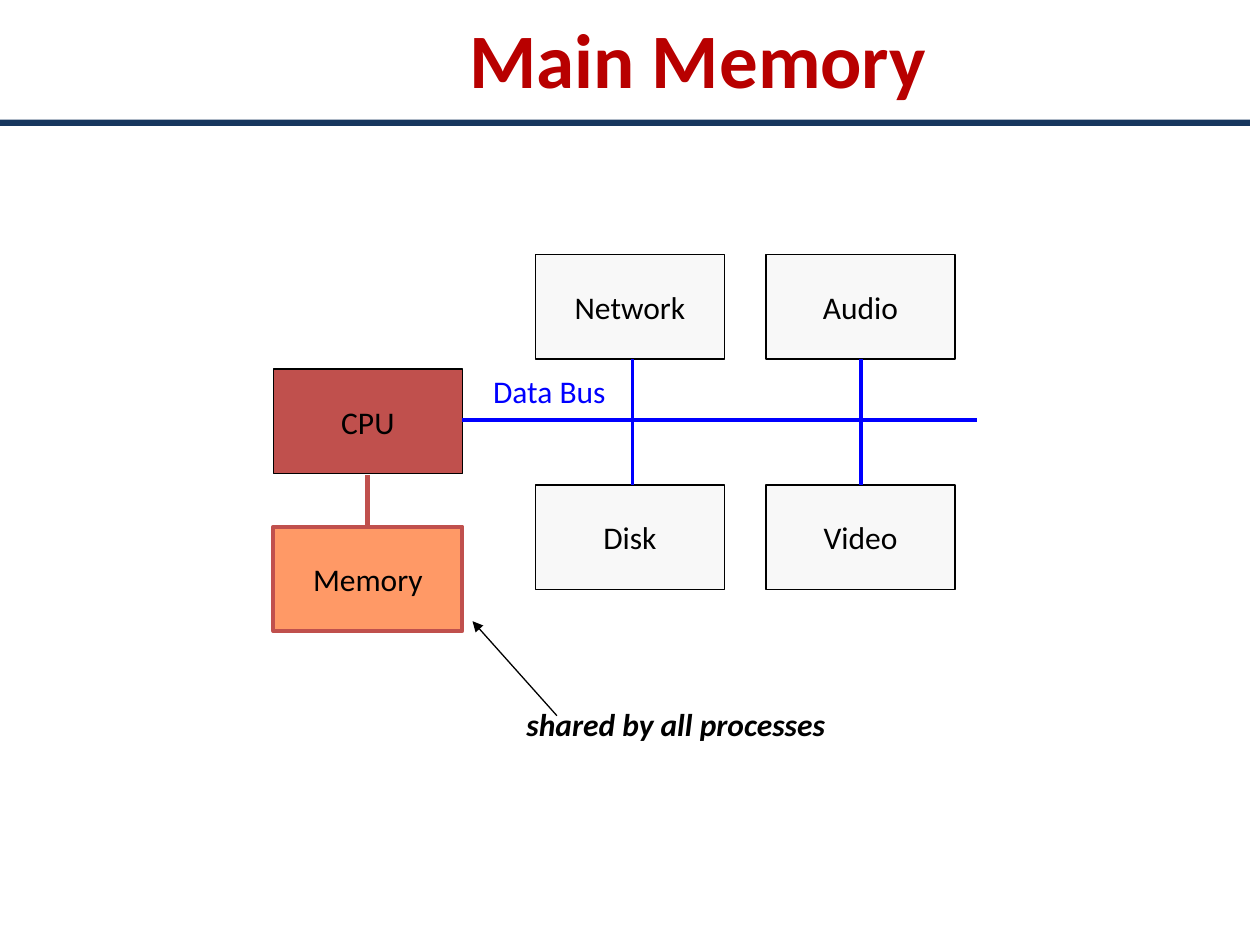
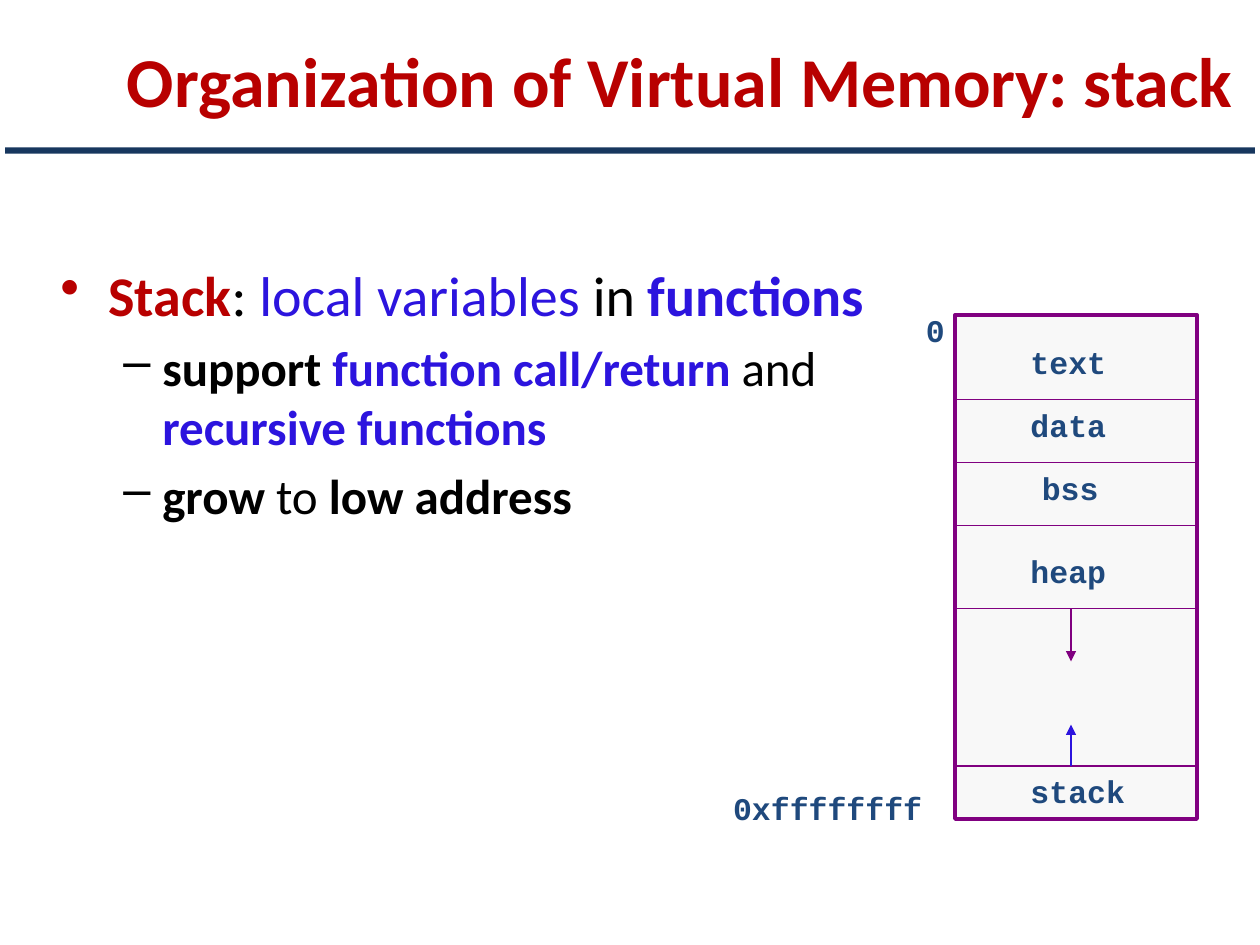
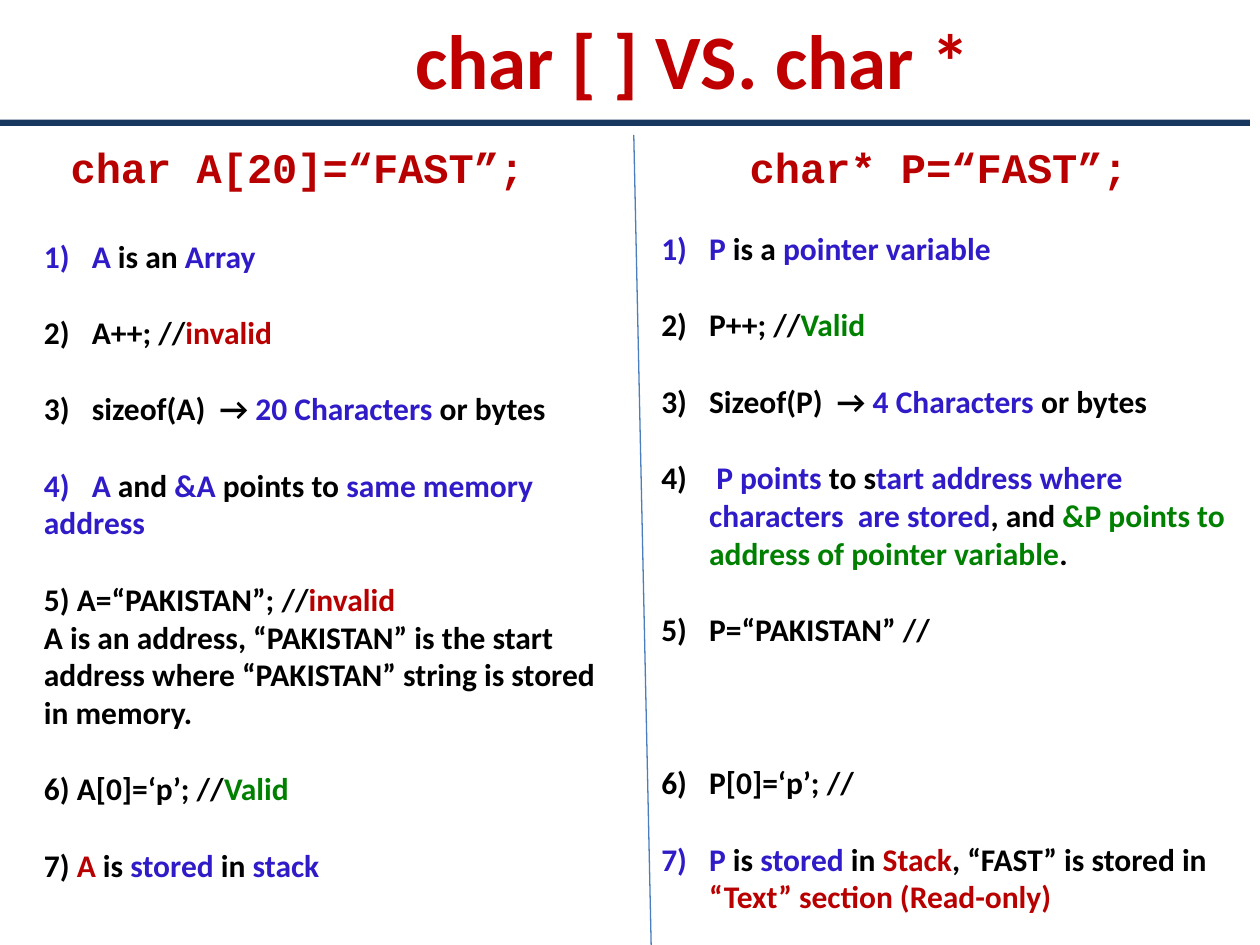
from lxml.etree import SubElement
from pptx import Presentation
from pptx.dml.color import RGBColor
from pptx.enum.shapes import MSO_CONNECTOR, MSO_SHAPE
from pptx.enum.text import MSO_ANCHOR, PP_ALIGN
from pptx.oxml.ns import qn
from pptx.util import Inches, Pt

COLORS = {
    "title": "B80000", "crimson": "C00000", "band": "17375E",
    "black": "000000", "white": "FFFFFF", "pale": "F8F8F8",
    "brick": "C0504D", "orange": "FF9966", "bus": "0000FF",
    "purple": "800080", "violet": "2C14DE", "navy": "1F497D",
    "red": "B80000", "blue": "2F1BC7", "green": "008000", "rule": "4B7EBC",
}

# Font values by role
FORMATS = {
    "title": {"name": "Calibri", "size": Pt(44), "bold": True},
    "long": {"name": "Calibri", "size": Pt(40), "bold": True},
    "label": {"name": "Calibri", "size": Pt(18)},
    "note": {"name": "Calibri", "size": Pt(18), "bold": True, "italic": True},
    "list": {"name": "Calibri", "size": Pt(18), "bold": True},
    "point": {"name": "Calibri", "size": Pt(32)},
    "sub": {"name": "Calibri", "size": Pt(28)},
    "code": {"name": "Courier New", "size": Pt(18), "bold": True},
    "head": {"name": "Courier New", "size": Pt(24), "bold": True},
}

# Bullet tag, its attributes, left margin and hanging indent
BULLETS = {
    "dot": ("a:buChar", {"char": "•"}, 0.38, 0.38),
    "dash": ("a:buChar", {"char": "–"}, 0.81, 0.31),
    "num": ("a:buAutoNum", {"type": "arabicParenR"}, 0.38, 0.38),
}

LINE = 22  # height of one 18 pt line, in points


def color(key):
    return RGBColor.from_string(COLORS[key])


def add_run(para, text, style, ink, bold=None):
    run = para.add_run()
    run.text = text
    values = dict(FORMATS[style])
    if bold is not None:
        values["bold"] = bold
    for name, value in values.items():
        setattr(run.font, name, value)
    run.font.color.rgb = color(ink)


def add_bullet(para, kind):
    tag, attrs, left, hang = BULLETS[kind]
    props = para._p.get_or_add_pPr()
    props.set("marL", str(Inches(left)))
    props.set("indent", str(-Inches(hang)))
    SubElement(props, qn(tag), attrs)


def add_frame(slide, left, top, width, height):
    box = slide.shapes.add_textbox(
        Inches(left), Inches(top), Inches(width), Inches(height))
    box.text_frame.word_wrap = True
    return box.text_frame


def add_text(slide, text, area, style, ink, align=PP_ALIGN.LEFT):
    frame = add_frame(slide, *area)
    para = frame.paragraphs[0]
    para.alignment = align
    add_run(para, text, style, ink)
    return frame


def add_list(slide, area, items):
    """Each item is (bullet, space before, style, runs)."""
    frame = add_frame(slide, *area)
    for i, (bullet, space, style, runs) in enumerate(items):
        para = frame.add_paragraph() if i else frame.paragraphs[0]
        para.space_before = Pt(space)
        if bullet:
            add_bullet(para, bullet)
        for run in runs:
            add_run(para, run[0], style, *run[1:])


def add_box(slide, area, fill, edge=None, weight=0.75, text=None):
    box = slide.shapes.add_shape(
        MSO_SHAPE.RECTANGLE, *[Inches(v) for v in area])
    box.shadow.inherit = False
    box.fill.solid()
    box.fill.fore_color.rgb = color(fill)
    if edge:
        box.line.color.rgb = color(edge)
        box.line.width = Pt(weight)
    else:
        box.line.fill.background()
    if text:
        frame = box.text_frame
        frame.vertical_anchor = MSO_ANCHOR.MIDDLE
        frame.paragraphs[0].alignment = PP_ALIGN.CENTER
        add_run(frame.paragraphs[0], text, "label", "black")


def add_line(slide, x1, y1, x2, y2, ink, weight=0.75, arrow=False):
    line = slide.shapes.add_connector(
        MSO_CONNECTOR.STRAIGHT, *[Inches(v) for v in (x1, y1, x2, y2)])
    line.line.color.rgb = color(ink)
    line.line.width = Pt(weight)
    if arrow:
        SubElement(line.line._get_or_add_ln(), qn("a:tailEnd"), type="triangle")
    SubElement(line._element.spPr, qn("a:effectLst"))


def add_slide(deck, title, area, band, style="title", ink="title"):
    """Blank slide with the shared title and the band below it."""
    slide = deck.slides.add_slide(deck.slide_layouts[6])
    frame = add_text(slide, title, area, style, ink, PP_ALIGN.CENTER)
    frame.margin_left = frame.margin_right = 0
    frame.vertical_anchor = MSO_ANCHOR.MIDDLE
    add_box(slide, (*band, 9.92, 0.05), "band")
    return slide


def draw_main(deck):
    slide = add_slide(deck, "Main Memory", (1.08, 0, 8.92, 0.91), (0, 0.95))
    size = (1.5, 0.83)

    # CPU and memory
    add_box(slide, (2.17, 2.93, *size), "brick", "black", text="CPU")
    add_box(slide, (2.17, 4.18, *size), "orange", "brick", 2.25, "Memory")
    add_line(slide, 2.92, 4.18, 2.92, 3.77, "brick", 2.75)

    # Devices on the bus
    add_line(slide, 3.67, 3.33, 7.75, 3.33, "bus", 2.25)
    for left, stem, pair in ((4.25, 5.02, ("Network", "Disk")),
                             (6.08, 6.83, ("Audio", "Video"))):
        for top, name in zip((2.02, 3.85), pair):
            add_box(slide, (left, top, *size), "pale", "black", text=name)
        add_line(slide, stem, 2.85, stem, 3.85, "bus", 2.25)
    add_text(slide, "Data Bus", (3.71, 2.9, 1.3, 0.43), "label", "bus",
             PP_ALIGN.CENTER)

    # Remark
    add_text(slide, "shared by all processes", (4.08, 5.55, 4, 0.4),
             "note", "black")
    add_line(slide, 4.42, 5.68, 3.75, 4.93, "black", arrow=True)


def draw_stack(deck):
    slide = add_slide(deck, "Organization of Virtual Memory: stack",
                      (0.83, 0.18, 9.13, 0.91), (0.04, 1.17), "long")
    add_list(slide, (0.38, 2.02, 6.62, 4.5), [
        ("dot", 6.4, "point", [
            ("Stack", "title", True), (": ", "black"),
            ("local variables ", "violet"), ("in ", "black"),
            ("functions", "violet", True)]),
        ("dash", 5.6, "sub", [
            ("support ", "black", True),
            ("function call/return ", "violet", True), ("and ", "black"),
            ("recursive functions", "violet", True)]),
        ("dash", 5.6, "sub", [
            ("grow", "black", True), (" to ", "black"),
            ("low address", "black", True)]),
    ])

    # Memory map
    left, right, mid = 7.58, 9.5, 8.5
    add_box(slide, (left, 2.5, 1.92, 4), "pale", "purple", 2.25)
    for y in (3.17, 3.67, 4.17, 4.83, 6.08):
        add_line(slide, left, y, right, y, "purple")
    for text, x, y, width in (
            ("text", 8.08, 2.67, 1.25), ("data", 8.08, 3.17, 1.25),
            ("bss", 8.17, 3.67, 0.83), ("heap", 8.08, 4.33, 1.25),
            ("stack", 8.08, 6.08, 1.25), ("0", 7.25, 2.42, 0.42),
            ("0xffffffff", 5.72, 6.21, 1.87)):
        add_text(slide, text, (x, y, width, 0.43), "code", "navy")

    # Growth of heap and stack
    add_line(slide, mid, 4.83, mid, 5.25, "purple", arrow=True)
    add_line(slide, mid, 6.08, mid, 5.75, "violet", 1.5, True)


def draw_char(deck):
    slide = add_slide(deck, "char [ ] VS. char *", (1, -0.02, 9, 0.97),
                      (0, 0.95), ink="crimson")

    # Column heads, parted by a tab stop
    frame = add_text(slide, "char A[20]=“FAST”;\tchar* P=“FAST”;",
                     (0.05, 1.07, 9.95, 0.52), "head", "title")
    frame.margin_left = Inches(0.51)
    tabs = SubElement(frame.paragraphs[0]._p.get_or_add_pPr(), qn("a:tabLst"))
    SubElement(tabs, qn("a:tab"), pos=str(Inches(5.39)), algn="l")
    add_line(slide, 5.03, 1.07, 5.17, 7.58, "rule")

    # Array
    add_list(slide, (0.25, 1.83, 4.78, 5.25), [
        ("num", 0, "list", [
            ("A", "blue"), (" is an ", "black"), ("Array", "blue")]),
        ("num", LINE, "list", [("A++; //", "black"), ("invalid", "red")]),
        ("num", LINE, "list", [
            ("sizeof(A)  → ", "black"), ("20 Characters ", "blue"),
            ("or bytes", "black")]),
        ("num", LINE, "list", [
            ("A", "blue"), (" and ", "black"), ("&A ", "blue"),
            ("points to ", "black"), ("same memory", "blue")]),
        (None, 0, "list", [("address", "blue")]),
        (None, LINE, "list", [
            ("5) A=“PAKISTAN”; //", "black"), ("invalid", "red")]),
        (None, 0, "list", [
            ("A is an address, “PAKISTAN” is the start address where "
             "“PAKISTAN” string is stored in memory.", "black")]),
        (None, LINE, "list", [
            ("6) A[0]=‘p’; //", "black"), ("Valid", "green")]),
        (None, LINE, "list", [
            ("7) ", "black"), ("A", "red"), (" is ", "black"),
            ("stored", "blue"), (" in ", "black"), ("stack", "blue")]),
    ])

    # Pointer
    add_list(slide, (5.15, 1.77, 4.77, 5.86), [
        ("num", 0, "list", [
            ("P", "blue"), (" is a ", "black"), ("pointer variable", "blue")]),
        ("num", LINE, "list", [("P++; //", "black"), ("Valid", "green")]),
        ("num", LINE, "list", [
            ("Sizeof(P)  → ", "black"), ("4 Characters ", "blue"),
            ("or bytes", "black")]),
        ("num", LINE, "list", [
            (" ", "black"), ("P points", "blue"), (" to s", "black"),
            ("tart address where characters  are stored", "blue"),
            (", and ", "black"),
            ("&P points to address of pointer variable", "green"),
            (".", "black")]),
        ("num", LINE, "list", [("P=“PAKISTAN” //", "black")]),
        ("num", 3 * LINE, "list", [("P[0]=‘p’; //", "black")]),
        ("num", LINE, "list", [
            ("P", "blue"), (" is ", "black"), ("stored", "blue"),
            (" in ", "black"), ("Stack", "red"),
            (", “FAST” is stored in ", "black"),
            ("“Text” section (Read-only)", "red")]),
    ])


def main():
    deck = Presentation()
    deck.slide_width, deck.slide_height = Inches(10), Inches(7.5)
    for draw in (draw_main, draw_stack, draw_char):
        draw(deck)
    deck.save("out.pptx")


if __name__ == "__main__":
    main()
